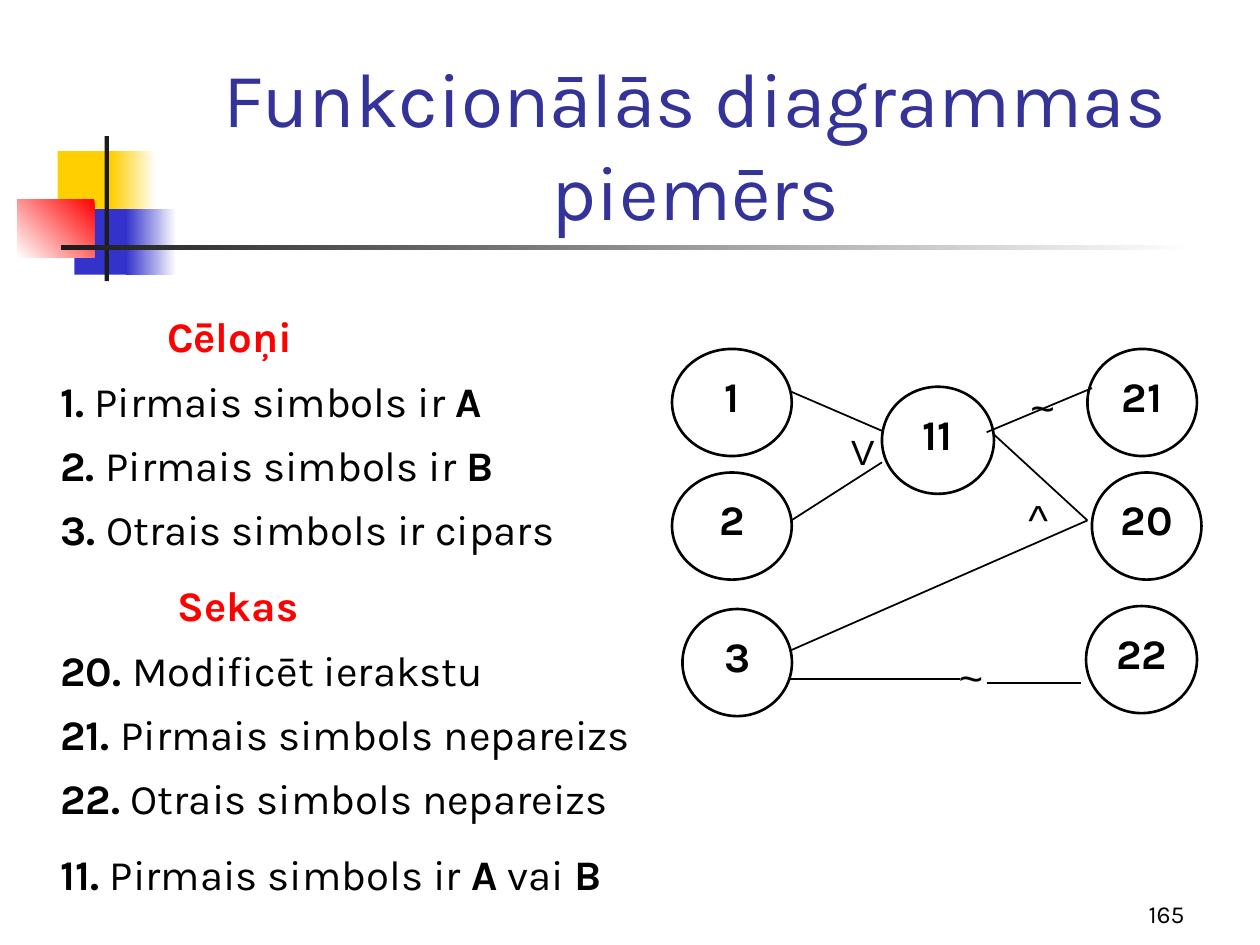
"""Build the slide on functional diagrams."""
import dataclasses

import lxml.etree
import pptx
import pptx.dml.color
import pptx.enum.shapes
import pptx.enum.text
import pptx.oxml.ns
import pptx.util

Pt = pptx.util.Pt
ALIGN = pptx.enum.text.PP_ALIGN
ANCHOR = pptx.enum.text.MSO_ANCHOR
SHAPE = pptx.enum.shapes.MSO_SHAPE
LINE = pptx.enum.shapes.MSO_CONNECTOR


@dataclasses.dataclass(frozen=True)
class Theme:
    """Hold the colours, fonts and type sizes."""
    title: str = "333399"
    ink: str = "000000"
    head: str = "FF0000"
    gold: str = "FFCF01"
    blue: str = "3333CC"
    red: str = "FF0000"
    dark: str = "1C1C1C"
    white: str = "FFFFFF"
    face: str = "Karla"
    sign: str = "Arial"
    large: int = 44
    body: int = 24
    mid: int = 20
    small: int = 14


THEME = Theme()

BLOCKS = (
    ((33, 86.4, 34.6, 37.4), (THEME.gold,), 0),
    ((63.4, 86.4, 26, 37.4), (THEME.white, THEME.gold), 180),
    ((42.5, 119.5, 33, 37.4), (THEME.blue,), 0),
    ((72, 119.5, 28.8, 37.4), (THEME.white, THEME.blue), 180),
    ((10, 113.8, 44, 33.1), (THEME.red, THEME.white), 225),
    ((59.8, 77.8, 2.4, 82.8), (THEME.dark,), 0),
    ((34.6, 140.2, 648, 2.4), (THEME.white, THEME.dark), 180),
)

NODES = (
    ("11", 504, 221, 64),
    ("1", 384, 199.4, 68.4),
    ("2", 384, 270, 68.4),
    ("3", 390, 348, 62.6),
    ("21", 621.4, 199.4, 62.6),
    ("20", 624, 270, 62.6),
    ("22", 620.6, 346.3, 63.4),
)

EDGES = (
    (452.2, 223.9, 504, 246.2),
    (452.2, 297.4, 504, 264.2),
    (568.1, 248.4, 621.4, 297.4),
    (452.2, 371.5, 621.4, 297.4),
    (450, 388.1, 548.6, 388.1),
    (563.8, 247, 624, 221.8),
    (563.8, 390.2, 617.8, 390.2),
)

SIGNS = (
    ("~", (527.8, 372.2, 54, 66.2), THEME.body),
    ("^", (581.8, 282.2, 23, 36.7), THEME.body),
    ("V", (480.2, 246.2, 25.9, 28.8), THEME.mid),
    ("~", (568.8, 218.2, 54, 38), THEME.body),
)

LINES = (
    ("*Cēloņi", 61),
    ("*1.* Pirmais simbols ir *A", 0),
    ("*2. *Pirmais simbols ir *B", 0),
    ("*3. *Otrais simbols ir cipars", 0),
    ("*Sekas", 67),
    ("*20. *Modificēt ierakstu", 0),
    ("*21. *Pirmais simbols nepareizs", 0),
    ("*22. *Otrais simbols nepareizs", 0),
    ("*11. *Pirmais simbols ir *A* vai* B", 0),
)


def color(code):
    """Turn a hex code into a colour."""
    return pptx.dml.color.RGBColor.from_string(code)


def apply(item, form):
    """Set each attribute in a dict of format values."""
    for name, value in form.items():
        setattr(item, name, value)


def write(para, text, size, face=THEME.face, ink=THEME.ink):
    """Add runs to a paragraph, with stars switching bold."""
    for num, part in enumerate(text.split("*")):
        if part:
            run = para.add_run()
            run.text = part
            apply(run.font, {"size": Pt(size), "name": face, "bold": num % 2 == 1})
            run.font.color.rgb = color(ink)


def frame(shape, pad, anchor=ANCHOR.TOP):
    """Set the margins and anchor of a text frame."""
    left, top = map(Pt, pad)
    apply(shape.text_frame, {
        "word_wrap": True, "vertical_anchor": anchor,
        "margin_left": left, "margin_right": left,
        "margin_top": top, "margin_bottom": top})
    return shape.text_frame


def label(slide, text, box, size, align, pad=(7.2, 3.6), anchor=ANCHOR.BOTTOM, **look):
    """Add a text box with one paragraph."""
    area = frame(slide.shapes.add_textbox(*map(Pt, box)), pad, anchor)
    para = area.paragraphs[0]
    para.alignment = align
    write(para, text, size, **look)


def block(slide, box, tones, angle):
    """Add a plain or graded bar."""
    shape = slide.shapes.add_shape(SHAPE.RECTANGLE, *map(Pt, box))
    shape.shadow.inherit = False
    shape.line.fill.background()
    if len(tones) == 1:
        shape.fill.solid()
        shape.fill.fore_color.rgb = color(tones[0])
        return
    shape.fill.gradient()
    shape.fill.gradient_angle = angle
    for stop, tone in zip(shape.fill.gradient_stops, tones):
        stop.color.rgb = color(tone)


def node(slide, text, left, top, width):
    """Add a numbered ellipse."""
    shape = slide.shapes.add_shape(SHAPE.OVAL, *map(Pt, (left, top, width, 61.2)))
    shape.shadow.inherit = False
    shape.fill.background()
    shape.line.width = Pt(1.5)
    shape.line.color.rgb = color(THEME.ink)
    para = frame(shape, (0, 3.2)).paragraphs[0]
    para.alignment = ALIGN.CENTER
    write(para, "*" + text, THEME.body)


def edge(slide, ends):
    """Add a thin straight line."""
    line = slide.shapes.add_connector(LINE.STRAIGHT, *map(Pt, ends))
    line.line.width = Pt(1)
    line.line.color.rgb = color(THEME.ink)
    lxml.etree.SubElement(line._element.spPr, pptx.oxml.ns.qn("a:effectLst"))


def roster(slide):
    """Add the list of causes and effects."""
    area = frame(slide.shapes.add_textbox(*map(Pt, (27.4, 174.2, 353.5, 343.4))), (7.2, 3.6))
    for num, (text, dent) in enumerate(LINES):
        para = area.paragraphs[0] if num == 0 else area.add_paragraph()
        loose = dent > 0 or num == len(LINES) - 1
        apply(para, {"space_before": Pt(15 if num else 0),
                     "line_spacing": 1.0 if loose else 0.75})
        if dent:
            para._p.get_or_add_pPr().set("marL", str(Pt(dent)))
        write(para, text, THEME.body, ink=THEME.head if dent else THEME.ink)


def main():
    """Build and save the slide."""
    deck = pptx.Presentation()
    apply(deck, {"slide_width": Pt(720), "slide_height": Pt(540)})
    slide = deck.slides.add_slide(deck.slide_layouts[6])
    for item in BLOCKS:
        block(slide, *item)
    label(slide, "Funkcionālās diagrammas piemērs", (90.7, 48.2, 613.4, 90),
          THEME.large, ALIGN.CENTER, ink=THEME.title)
    for item in NODES:
        node(slide, *item)
    for ends in EDGES:
        edge(slide, ends)
    for text, box, size in SIGNS:
        label(slide, text, box, size, ALIGN.CENTER, (0, 0), ANCHOR.TOP, face=THEME.sign)
    roster(slide)
    label(slide, "165", (534.2, 498.2, 149.8, 36), THEME.small, ALIGN.RIGHT)
    deck.save("out.pptx")


if __name__ == "__main__":
    main()
